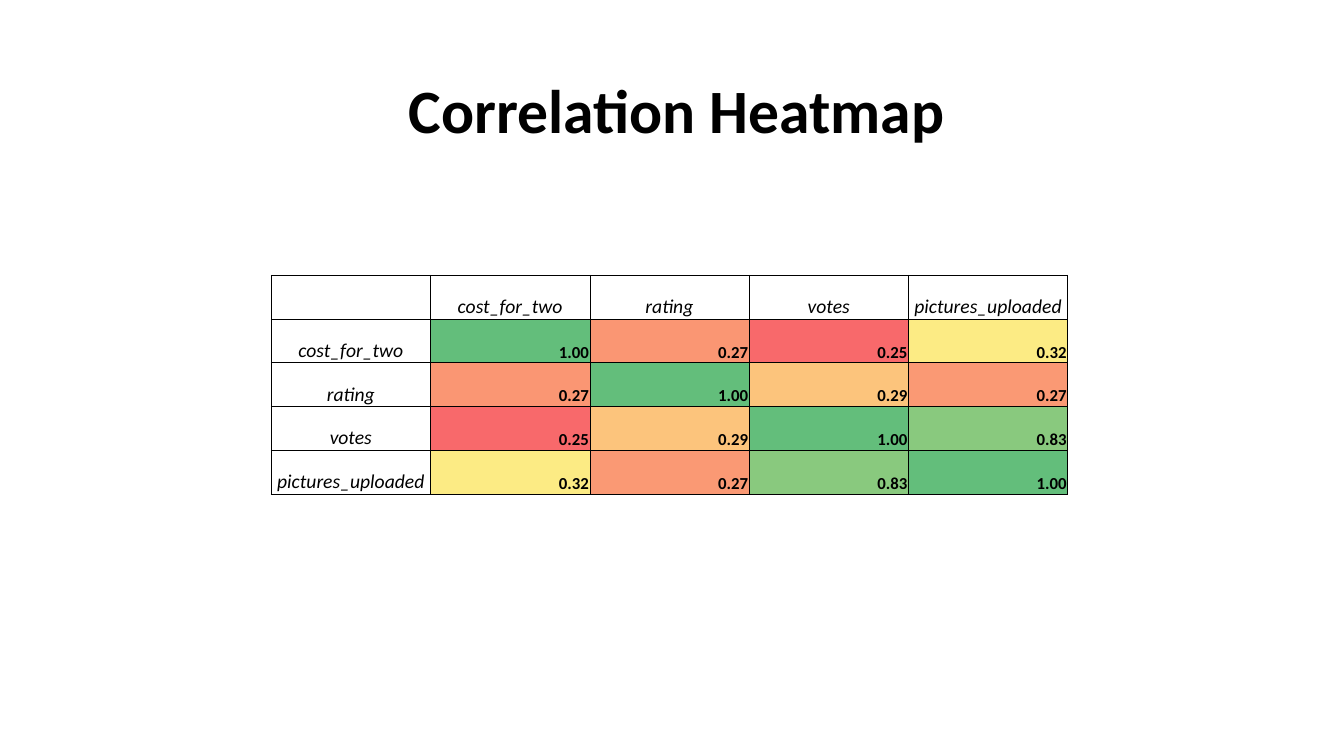
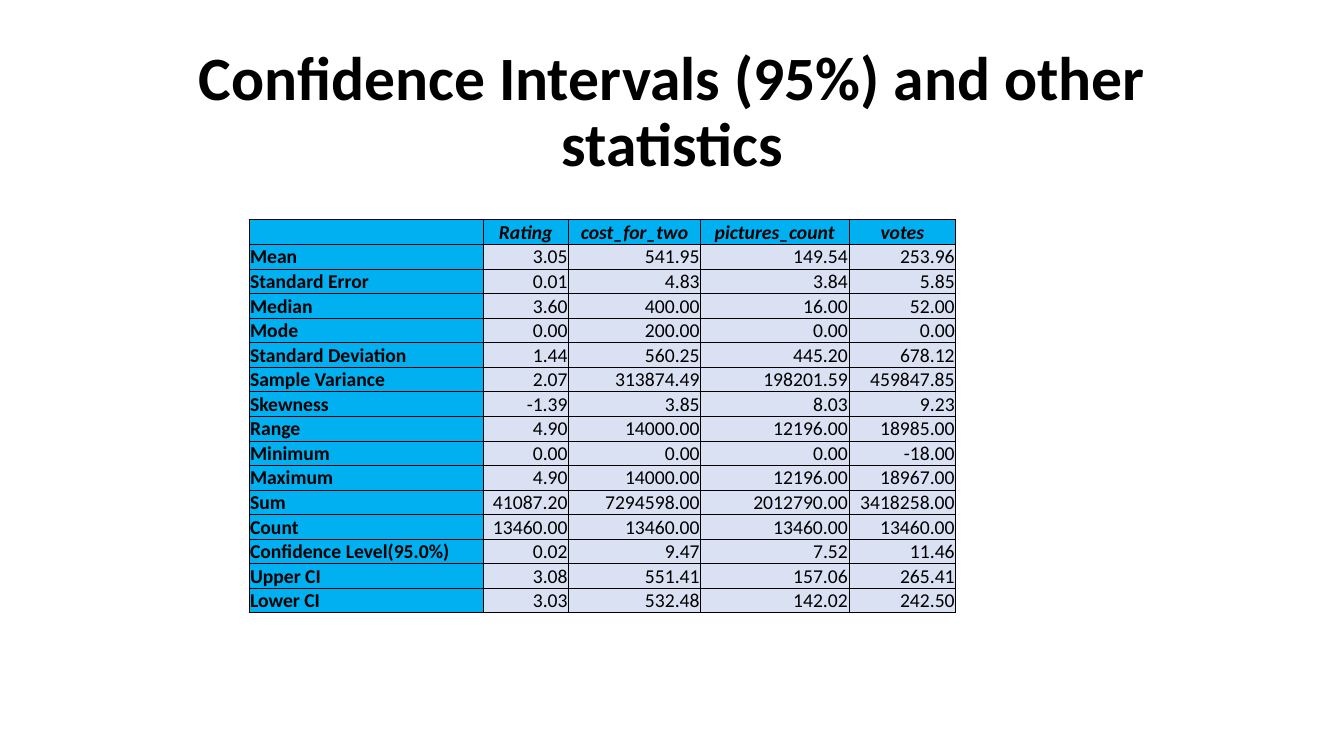
from dataclasses import dataclass

from lxml.etree import SubElement
from pptx import Presentation
from pptx.dml.color import RGBColor
from pptx.enum.text import MSO_ANCHOR as Anchor, PP_ALIGN as Align
from pptx.oxml.ns import qn
from pptx.util import Pt

# Lengths are in px, 100 to the inch
PX = 9144
SLIDE_SIZE = (1333, 750)
FONT = "Calibri"

BLACK = RGBColor(0x00, 0x00, 0x00)
HEADER_BLUE = RGBColor(0x00, 0xB0, 0xF0)
BODY_BLUE = RGBColor(0xD9, 0xE1, 0xF2)

# Heat scale, from the strongest correlation to the weakest
GREEN = RGBColor(0x63, 0xBE, 0x7B)
LIGHT_GREEN = RGBColor(0x89, 0xC9, 0x7E)
YELLOW = RGBColor(0xFC, 0xEB, 0x84)
AMBER = RGBColor(0xFC, 0xC4, 0x7C)
ORANGE = RGBColor(0xFA, 0x99, 0x74)
DARK_ORANGE = RGBColor(0xFA, 0x96, 0x73)
RED = RGBColor(0xF8, 0x69, 0x6B)

VARIABLES = ["cost_for_two", "rating", "votes", "pictures_uploaded"]
# Each pair of variables is listed once; the matrix is symmetric
CORRELATIONS = {
    (0, 1): (0.27, DARK_ORANGE),
    (0, 2): (0.25, RED),
    (0, 3): (0.32, YELLOW),
    (1, 2): (0.29, AMBER),
    (1, 3): (0.27, ORANGE),
    (2, 3): (0.83, LIGHT_GREEN),
}

STATISTICS_COLUMNS = ["Rating", "cost_for_two", "pictures_count", "votes"]
STATISTICS = {
    "Mean": (3.05, 541.95, 149.54, 253.96),
    "Standard Error": (0.01, 4.83, 3.84, 5.85),
    "Median": (3.60, 400, 16, 52),
    "Mode": (0, 200, 0, 0),
    "Standard Deviation": (1.44, 560.25, 445.20, 678.12),
    "Sample Variance": (2.07, 313874.49, 198201.59, 459847.85),
    "Skewness": (-1.39, 3.85, 8.03, 9.23),
    "Range": (4.90, 14000, 12196, 18985),
    "Minimum": (0, 0, 0, -18),
    "Maximum": (4.90, 14000, 12196, 18967),
    "Sum": (41087.20, 7294598, 2012790, 3418258),
    "Count": (13460, 13460, 13460, 13460),
    "Confidence Level(95.0%)": (0.02, 9.47, 7.52, 11.46),
    "Upper CI": (3.08, 551.41, 157.06, 265.41),
    "Lower CI": (3.03, 532.48, 142.02, 242.50),
}


@dataclass
class CellContent:
    text: str
    align: Align
    fill: RGBColor | None = None
    size: int = 14
    bold: bool = False
    italic: bool = False


def to_emu(*lengths):
    return [length * PX for length in lengths]


def set_font(paragraph, size, bold, italic=False):
    font = paragraph.font
    font.name, font.size = FONT, Pt(size)
    font.bold, font.italic = bold, italic
    font.color.rgb = BLACK


def add_title(slide, text, left, width):
    frame = slide.shapes.add_textbox(*to_emu(left, 40, width, 145)).text_frame
    frame.word_wrap = True
    frame.vertical_anchor = Anchor.MIDDLE
    paragraph = frame.paragraphs[0]
    paragraph.text = text
    paragraph.alignment = Align.CENTER
    paragraph.line_spacing = 0.9
    set_font(paragraph, 44, bold=True)


def add_borders(cell):
    properties = cell._tc.get_or_add_tcPr()
    for side in ("a:lnL", "a:lnR", "a:lnT", "a:lnB"):
        line = SubElement(properties, qn(side), w=str(Pt(0.5)))
        solid = SubElement(line, qn("a:solidFill"))
        SubElement(solid, qn("a:srgbClr"), val=str(BLACK))


def fill_cell(cell, content):
    add_borders(cell)
    if content.fill is None:
        cell.fill.background()
    else:
        cell.fill.solid()
        cell.fill.fore_color.rgb = content.fill
    cell.margin_left = cell.margin_right = cell.margin_top = PX
    cell.margin_bottom = 0
    cell.vertical_anchor = Anchor.BOTTOM
    paragraph = cell.text_frame.paragraphs[0]
    if content.text:
        paragraph.text = content.text
    paragraph.alignment = content.align
    set_font(paragraph, content.size, content.bold, content.italic)


def add_grid(slide, left, top, height, column_widths, rows):
    box = to_emu(left, top, sum(column_widths), height)
    table = slide.shapes.add_table(len(rows), len(column_widths), *box).table
    table.first_row = table.horz_banding = False
    for column, width in zip(table.columns, column_widths):
        column.width = width * PX
    for row, contents in zip(table.rows, rows):
        for cell, content in zip(row.cells, contents):
            fill_cell(cell, content)


def heatmap_rows():
    def label(text):
        return CellContent(text, Align.CENTER, italic=True)

    def correlation(row, column):
        pair = (min(row, column), max(row, column))
        value, colour = CORRELATIONS.get(pair, (1, GREEN))
        return CellContent(f"{value:.2f}", Align.RIGHT, colour, 12, bold=True)

    rows = [[label(text) for text in ["", *VARIABLES]]]
    for row, name in enumerate(VARIABLES):
        values = [correlation(row, column) for column in range(len(VARIABLES))]
        rows.append([label(name), *values])
    return rows


def statistics_rows():
    rows = [[CellContent(text, Align.CENTER, HEADER_BLUE, bold=True, italic=True)
             for text in ["", *STATISTICS_COLUMNS]]]
    for name, values in STATISTICS.items():
        label = CellContent(name, Align.LEFT, HEADER_BLUE, bold=True)
        rows.append([label, *(CellContent(f"{value:.2f}", Align.RIGHT, BODY_BLUE)
                              for value in values)])
    return rows


def main():
    presentation = Presentation()
    presentation.slide_width, presentation.slide_height = to_emu(*SLIDE_SIZE)
    blank = presentation.slide_layouts[6]

    # Correlation heatmap
    slide = presentation.slides.add_slide(blank)
    add_title(slide, "Correlation Heatmap", 67, 1209)
    add_grid(slide, 269, 273, 217, [158] * 5, heatmap_rows())

    # Confidence intervals and descriptive statistics
    slide = presentation.slides.add_slide(blank)
    add_title(slide, "Confidence Intervals (95%) and other statistics", 92, 1150)
    add_grid(slide, 247, 218, 390, [232, 85, 131, 147, 106], statistics_rows())

    presentation.save("out.pptx")


if __name__ == "__main__":
    main()
